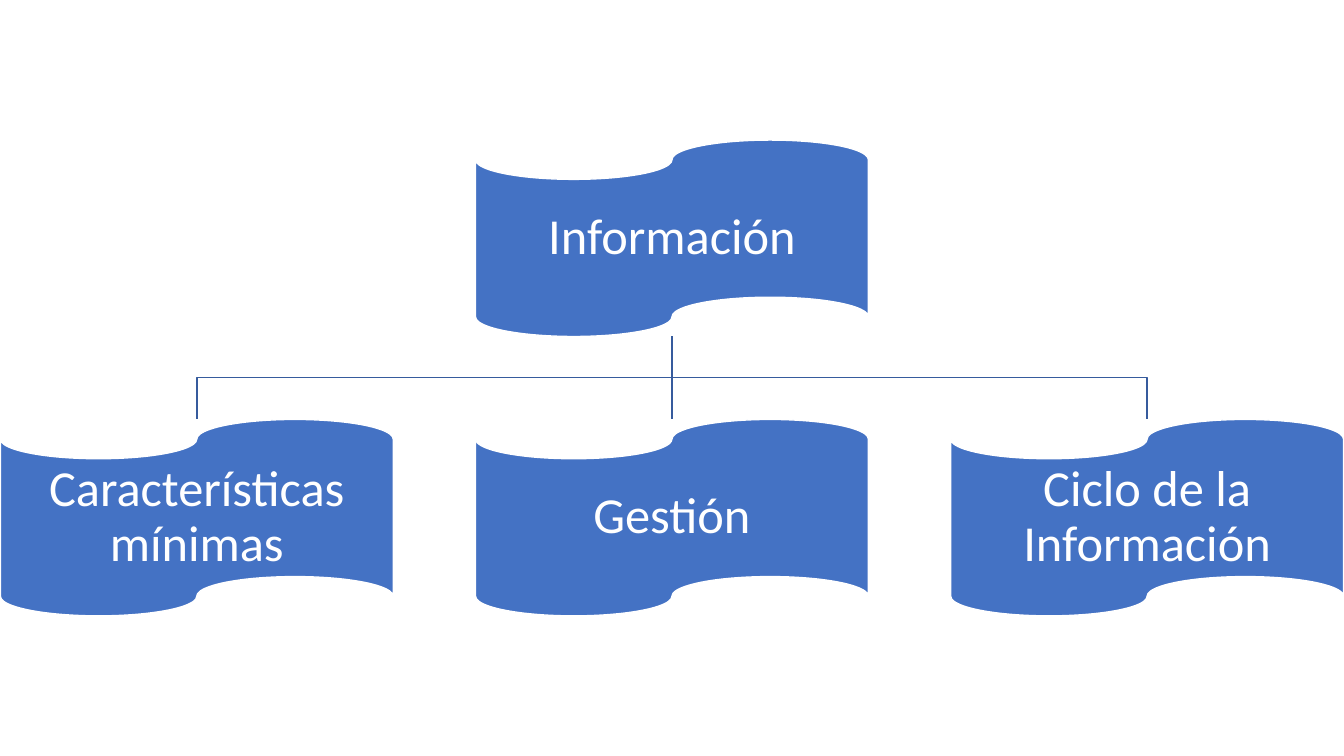
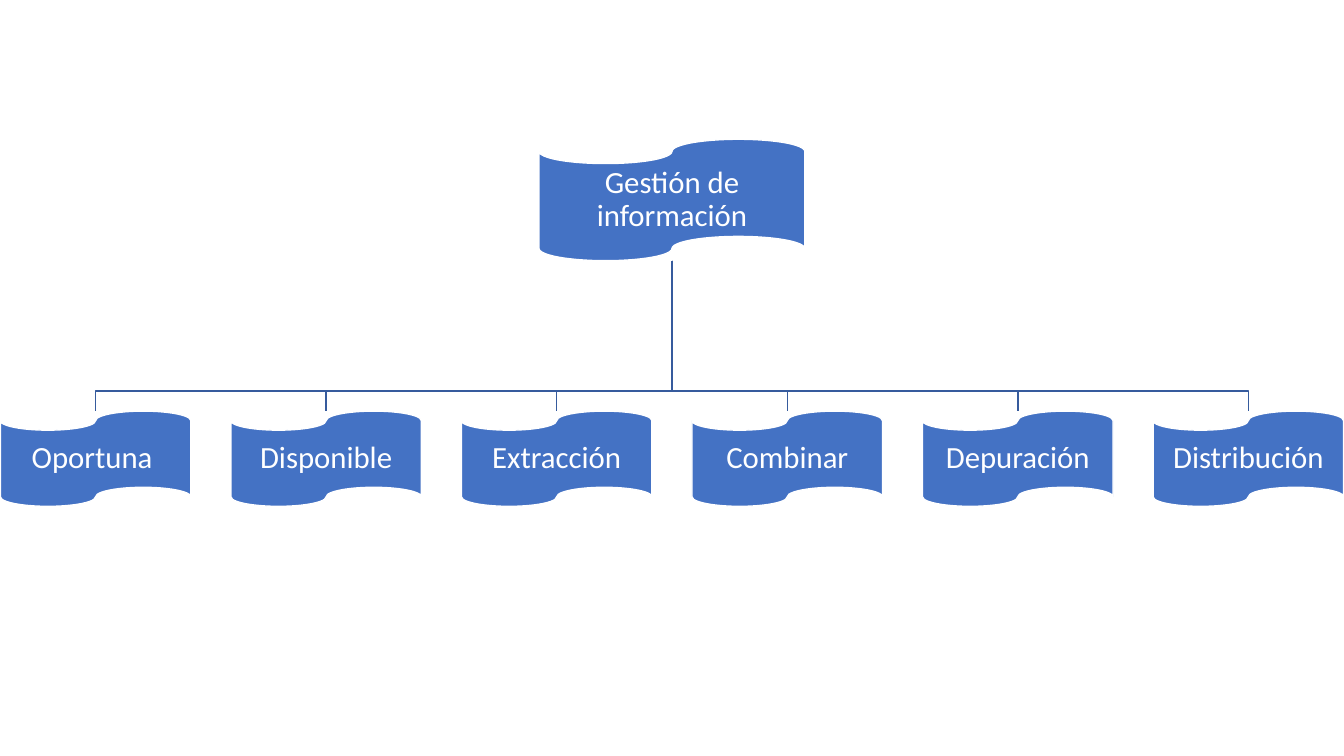
from dataclasses import dataclass

from lxml.etree import SubElement
from pptx import Presentation
from pptx.dml.color import RGBColor
from pptx.dml.line import LineFormat
from pptx.enum.shapes import MSO_CONNECTOR as Connector, MSO_SHAPE as Preset
from pptx.enum.text import MSO_ANCHOR as Anchor, PP_ALIGN as Align
from pptx.oxml.ns import qn
from pptx.slide import Slide
from pptx.util import Cm, Pt

SLIDE_WIDTH, SLIDE_HEIGHT = 33.87, 19.05
EDGE = 0.01
BLANK_LAYOUT = 6


@dataclass(frozen=True)
class Theme:
    tape: RGBColor = RGBColor(0x44, 0x72, 0xC4)
    branch: RGBColor = RGBColor(0x36, 0x5B, 0x9D)
    white: RGBColor = RGBColor(0xFF, 0xFF, 0xFF)
    font: str = "Calibri"
    line_width: Pt = Pt(1)
    line_spacing: float = 0.9
    large: Pt = Pt(36)
    small: Pt = Pt(22)


THEME = Theme()


@dataclass(frozen=True)
class Box:
    """A rectangle in centimetres."""

    left: float
    top: float
    width: float
    height: float

    @property
    def centre(self) -> float:
        return self.left + self.width / 2

    @property
    def bottom(self) -> float:
        return self.top + self.height


@dataclass(frozen=True)
class Level:
    """Top and size shared by the tapes of one level, in centimetres."""

    top: float
    width: float
    height: float

    def spread(self, count: int) -> list[Box]:
        """Boxes from edge to edge of the slide; a single one is centred."""
        free = SLIDE_WIDTH - 2 * EDGE - self.width
        shares = [0.5] if count == 1 else [i / (count - 1) for i in range(count)]
        return [Box(EDGE + free * share, self.top, self.width, self.height) for share in shares]


@dataclass(frozen=True)
class Tree:
    root: str
    leaves: tuple[str, ...]
    root_level: Level
    leaf_level: Level
    bar_y: float
    text_size: Pt
    inset: float


TREES = (
    Tree("Información",
         ("Características mínimas", "Gestión", "Ciclo de la Información"),
         Level(3.53, 9.9, 4.95), Level(10.57, 9.9, 4.95), 9.52, THEME.large, 0.08),
    Tree("Gestión de información",
         ("Oportuna ", "Disponible", "Extracción", "Combinar", "Depuración", "Distribución"),
         Level(3.51, 6.7, 3.06), Level(10.36, 4.8, 2.4), 9.85, THEME.small, 0.05),
)


def apply_format(target: object, values: dict[str, object]) -> None:
    for name, value in values.items():
        setattr(target, name, value)


def style_line(line: LineFormat, color: RGBColor) -> None:
    line.color.rgb = color
    line.width = THEME.line_width


def draw_tape(slide: Slide, box: Box, text: str, size: Pt, inset: float) -> None:
    shape = slide.shapes.add_shape(Preset.FLOWCHART_PUNCHED_TAPE, Cm(box.left), Cm(box.top),
                                   Cm(box.width), Cm(box.height))
    shape.shadow.inherit = False
    shape.fill.solid()
    shape.fill.fore_color.rgb = THEME.tape
    style_line(shape.line, THEME.white)

    frame = shape.text_frame
    sides = ("left", "top", "right", "bottom")
    apply_format(frame, {f"margin_{side}": Cm(inset) for side in sides})
    apply_format(frame, {"word_wrap": True, "vertical_anchor": Anchor.MIDDLE})
    paragraph = frame.paragraphs[0]
    apply_format(paragraph, {"alignment": Align.CENTER, "line_spacing": THEME.line_spacing})
    run = paragraph.add_run()
    run.text = text
    apply_format(run.font, {"name": THEME.font, "size": size})
    run.font.color.rgb = THEME.white


def draw_branch(slide: Slide, root: Box, leaf: Box, bar_y: float) -> None:
    """Join root and leaf: straight when they are aligned, else bent at the bar."""
    start = Cm(root.centre), Cm(root.bottom)
    end = Cm(leaf.centre), Cm(leaf.top)
    if abs(root.centre - leaf.centre) < 0.01:
        connector = slide.shapes.add_connector(Connector.STRAIGHT, *start, *end)
        SubElement(connector.element.spPr, qn("a:effectLst"))
        style_line(connector.line, THEME.branch)
        return
    builder = slide.shapes.build_freeform(*start)
    bends = [(start[0], Cm(bar_y)), (end[0], Cm(bar_y))]
    builder.add_line_segments([*bends, end], close=False)
    elbow = builder.convert_to_shape()
    elbow.shadow.inherit = False
    elbow.fill.background()
    style_line(elbow.line, THEME.branch)


def draw_tree(slide: Slide, tree: Tree) -> None:
    [root] = tree.root_level.spread(1)
    leaves = tree.leaf_level.spread(len(tree.leaves))
    for leaf in reversed(leaves):
        draw_branch(slide, root, leaf, tree.bar_y)
    for box, text in zip([root, *leaves], [tree.root, *tree.leaves]):
        draw_tape(slide, box, text, tree.text_size, tree.inset)


def main() -> None:
    presentation = Presentation()
    presentation.slide_width = Cm(SLIDE_WIDTH)
    presentation.slide_height = Cm(SLIDE_HEIGHT)
    for tree in TREES:
        slide = presentation.slides.add_slide(presentation.slide_layouts[BLANK_LAYOUT])
        draw_tree(slide, tree)
    presentation.save("out.pptx")


if __name__ == "__main__":
    main()
